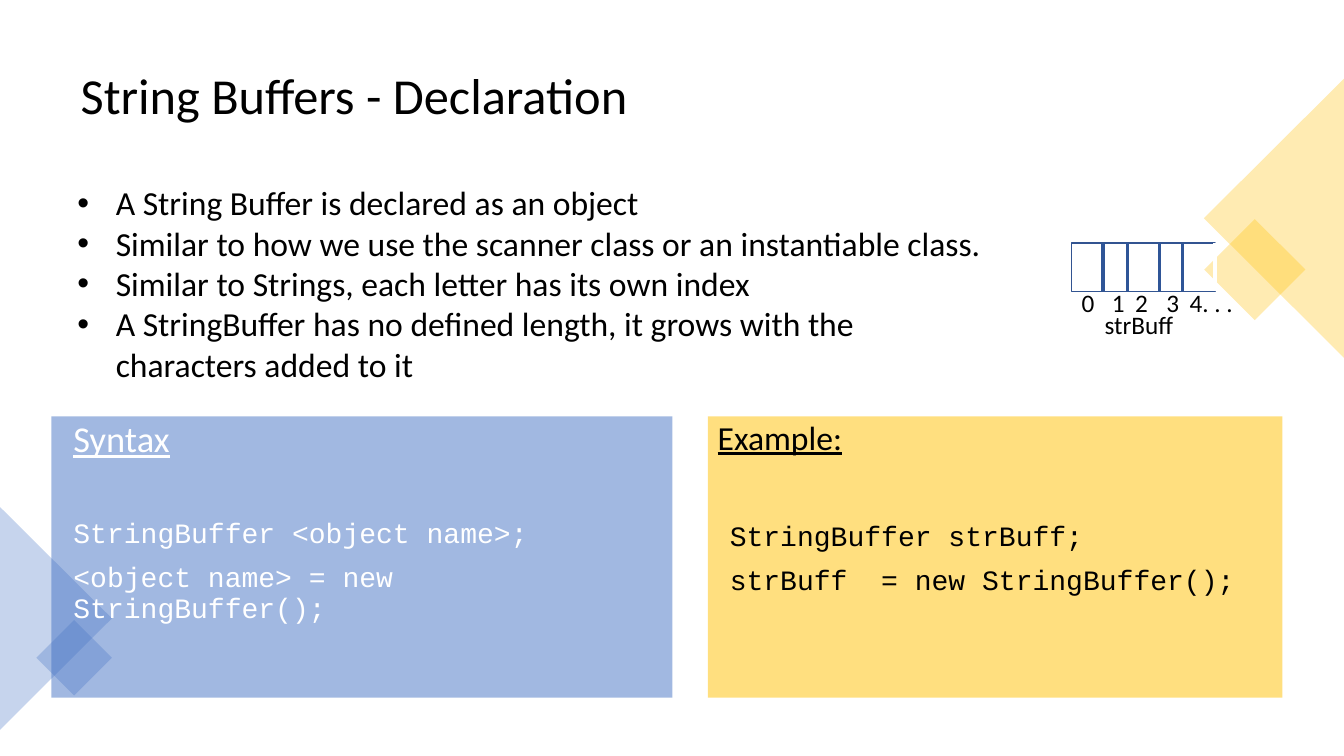
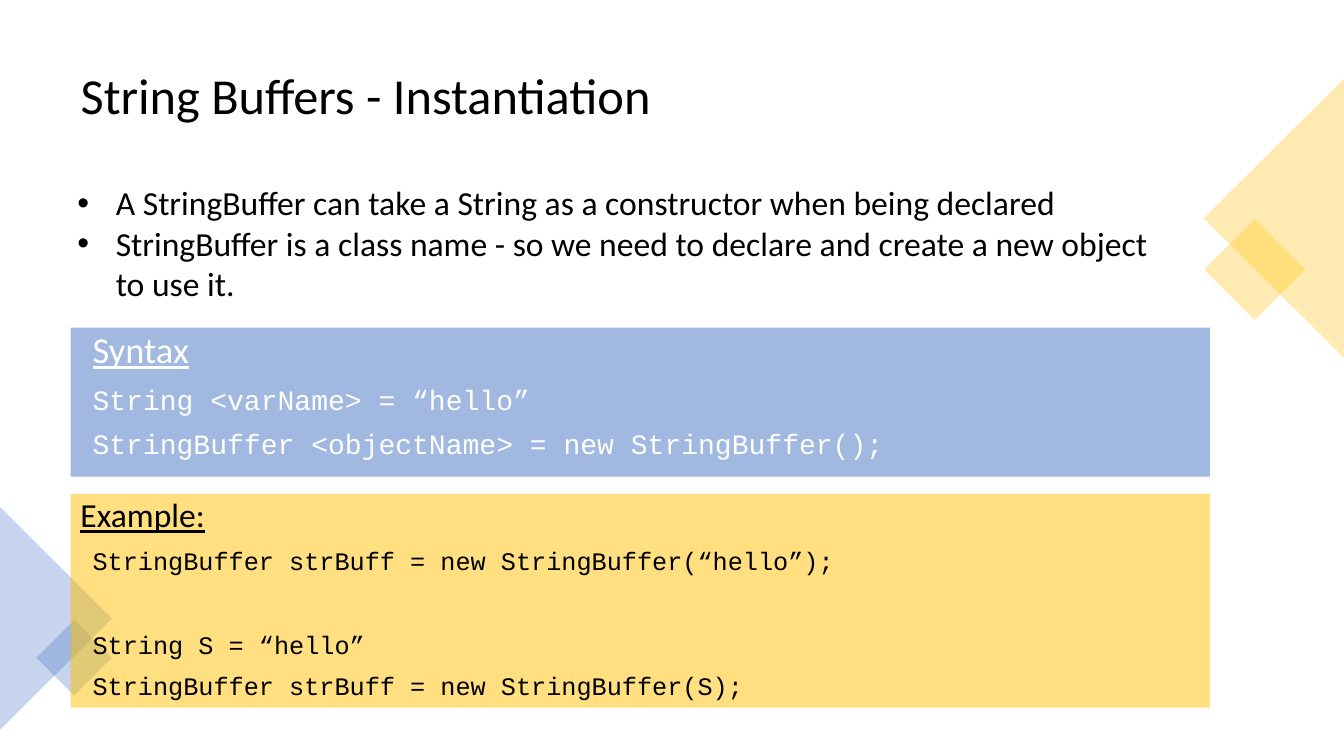
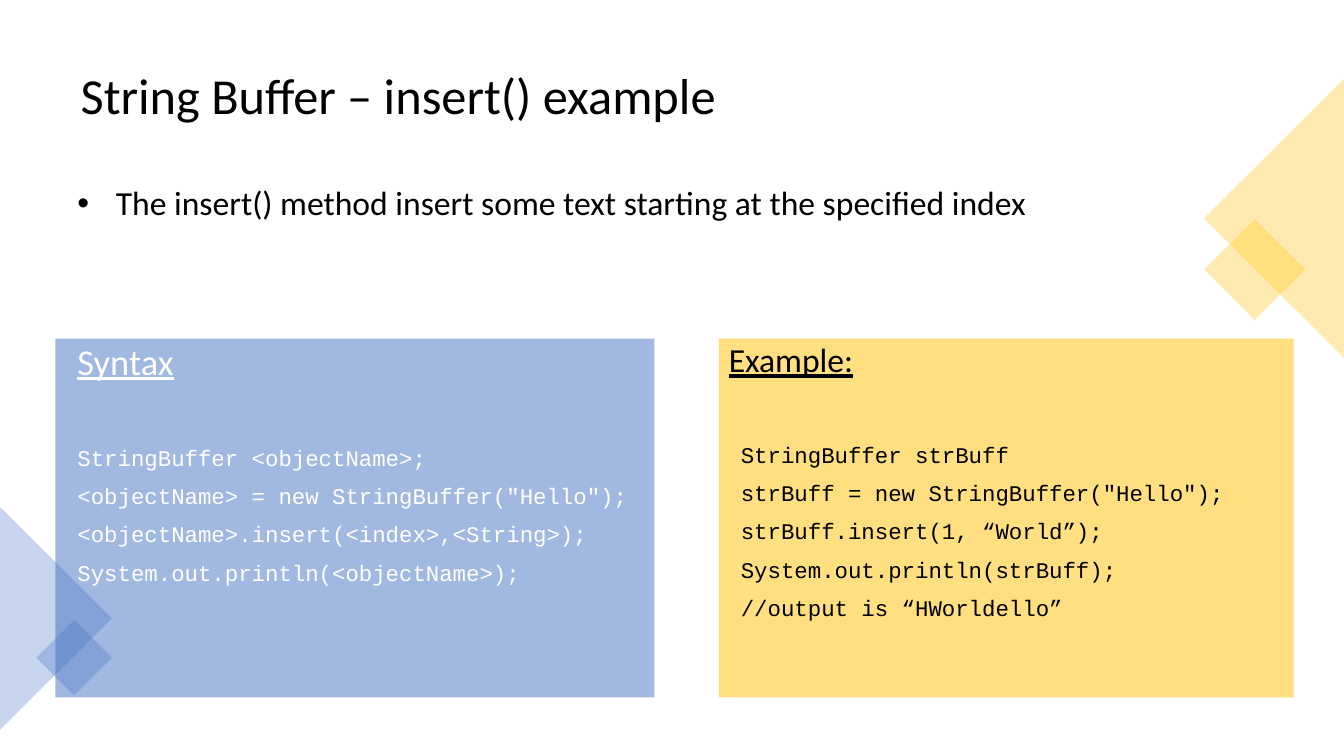
from dataclasses import dataclass

from lxml import etree
from pptx import Presentation
from pptx.dml.color import RGBColor
from pptx.enum import shapes, text
from pptx.oxml import ns
from pptx.util import Inches, Pt

BLACK = RGBColor(0x00, 0x00, 0x00)
WHITE = RGBColor(0xFF, 0xFF, 0xFF)
BLUE = RGBColor(0x44, 0x72, 0xC4)
GOLD = RGBColor(0xFF, 0xC0, 0x00)
OUTLINE = RGBColor(0x32, 0x54, 0x91)
DIVIDER = RGBColor(0x2F, 0x55, 0x97)
BODY_FONT = "Calibri"
CODE_FONT = "Courier New"
CODE_INDENT = 0.12

RECTANGLE = shapes.MSO_SHAPE.RECTANGLE
TRIANGLE = shapes.MSO_SHAPE.ISOSCELES_TRIANGLE

# kind, left, top, width, height, rotation, colour
CORNERS = [
    (RECTANGLE, 12.09, 2.32, 0.71, 0.71, 45, GOLD),
    (TRIANGLE, 11.25, 1.47, 2.77, 1.39, 270, GOLD),
    (TRIANGLE, -0.55, 5.58, 2.21, 1.11, 90, BLUE),
    (RECTANGLE, 0.47, 6.26, 0.53, 0.53, 45, BLUE),
]


@dataclass
class PanelStyle:
    heading: str
    heading_size: int
    heading_indent: float
    fill: RGBColor
    ink: RGBColor


SYNTAX = PanelStyle("Syntax", 26, CODE_INDENT, BLUE, WHITE)
EXAMPLE = PanelStyle("Example:", 24, 0, GOLD, BLACK)


def add_child(parent, tag, **attributes):
    return etree.SubElement(parent, ns.qn(tag), attributes)


class Deck:
    def __init__(self):
        self.deck = Presentation()
        self.deck.slide_width = Inches(13.33)
        self.deck.slide_height = Inches(7.5)
        self.page = None

    def new_page(self, title):
        self.page = self.deck.slides.add_slide(self.deck.slide_layouts[5])
        box = self.page.shapes.title
        box.left, box.top = Inches(0.7), Inches(0.35)
        box.width, box.height = Inches(11.93), Inches(1.24)
        frame = box.text_frame
        frame.auto_size = text.MSO_AUTO_SIZE.NONE
        frame.vertical_anchor = text.MSO_ANCHOR.MIDDLE
        self.add_para(frame, title, 36, spacing=0.9)
        for kind, left, top, width, height, rotation, color in CORNERS:
            corner = self.shape(kind, left, top, width, height, color, 30)
            corner.rotation = rotation

    def add_para(self, frame, words, size, color=BLACK, font=BODY_FONT,
                 indent=0, before=0, spacing=None):
        """Fill the frame's first paragraph, or add one if it is taken."""
        para = frame.paragraphs[0]
        if para.runs:
            para = frame.add_paragraph()
        para.add_run().text = words
        para.alignment = text.PP_ALIGN.LEFT
        para.space_before = Pt(before)
        if spacing:
            para.line_spacing = spacing
        para.font.name = font
        para.font.size = Pt(size)
        para.font.color.rgb = color
        if indent:
            para._p.get_or_add_pPr().set("marL", str(Inches(indent)))
        return para

    def shape(self, kind, left, top, width, height, fill=None, opacity=100):
        """Add a preset shape; opacity is a percentage."""
        shape = self.page.shapes.add_shape(
            kind, Inches(left), Inches(top), Inches(width), Inches(height))
        shape.shadow.inherit = False
        shape.line.fill.background()
        if fill is None:
            shape.fill.background()
        else:
            shape.fill.solid()
            shape.fill.fore_color.rgb = fill
            color = shape._element.spPr.find(".//" + ns.qn("a:srgbClr"))
            add_child(color, "a:alpha", val=str(opacity * 1000))
        return shape

    def text_box(self, left, top, width, height):
        box = self.page.shapes.add_textbox(
            Inches(left), Inches(top), Inches(width), Inches(height))
        box.text_frame.word_wrap = True
        return box.text_frame

    def bullets(self, width, height, lines):
        frame = self.text_box(0.55, 1.76, width, height)
        for line in lines:
            para = self.add_para(frame, line, 24, indent=0.5)
            properties = para._p.get_or_add_pPr()
            properties.set("indent", str(Inches(-0.38)))
            default_font = properties.find(ns.qn("a:defRPr"))
            for tag, name, value in (("a:buFont", "typeface", "Arial"),
                                     ("a:buChar", "char", "•")):
                default_font.addprevious(
                    add_child(properties, tag, **{name: value}))

    def panel(self, style, left, top, width, height, size, lines, gaps=None):
        """Add a code panel; gaps maps a line's index to extra points above it."""
        box = self.shape(RECTANGLE, left, top, width, height, style.fill, 50)
        frame = box.text_frame
        frame.word_wrap = True
        frame.vertical_anchor = text.MSO_ANCHOR.TOP
        heading = self.add_para(frame, style.heading, style.heading_size,
                                style.ink, indent=style.heading_indent,
                                before=10, spacing=0.9)
        heading.font.underline = True
        for index, line in enumerate(lines):
            self.add_para(frame, line, size, style.ink, CODE_FONT, CODE_INDENT,
                          10 + (gaps or {}).get(index, 0), 0.9)

    def line(self, x, top, bottom, color):
        line = self.page.shapes.add_connector(
            shapes.MSO_CONNECTOR.STRAIGHT,
            Inches(x), Inches(top), Inches(x), Inches(bottom))
        line.line.color.rgb = color
        line.line.width = Pt(2.25)
        add_child(line._element.spPr, "a:effectLst")

    def buffer_diagram(self):
        left, top, bottom, right = 10.63, 2.41, 2.89, 12.05
        cells = self.shape(RECTANGLE, left, top, right - left, bottom - top)
        cells.line.color.rgb = OUTLINE
        cells.line.width = Pt(1)
        name = self.add_para(self.text_box(10.47, 3.02, 1.65, 0.4),
                             "strBuff", 18)
        name.alignment = text.PP_ALIGN.CENTER
        for x in (10.94, 11.18, 11.5, 11.73):
            self.line(x, top, bottom, DIVIDER)
        indexes = self.add_para(self.text_box(left, 2.8, 1.81, 0.4),
                                "0\t1\t2\t3\t4. . .", 18)
        properties = indexes._p.get_or_add_pPr()
        tabs = add_child(properties, "a:tabLst")
        properties.find(ns.qn("a:defRPr")).addprevious(tabs)
        for stop in (0.3, 0.53, 0.84, 1.07):
            add_child(tabs, "a:tab", pos=str(Inches(stop)), algn="l")
        self.line(right, top, bottom, WHITE)


def main():
    deck = Deck()

    deck.new_page("String Buffers - Declaration")
    deck.bullets(9.34, 2.12, [
        "A String Buffer is declared as an object",
        "Similar to how we use the scanner class or an instantiable class.",
        "Similar to Strings, each letter has its own index",
        "A StringBuffer has no defined length, it grows with the "
        "characters added to it",
    ])
    deck.panel(SYNTAX, 0.51, 4.13, 6.16, 2.79, 20, [
        "StringBuffer <object name>;",
        "<object name> = new StringBuffer();",
    ], {0: 32})
    deck.panel(EXAMPLE, 7.02, 4.13, 5.7, 2.79, 20, [
        "StringBuffer strBuff;",
        "strBuff  = new StringBuffer();",
    ], {0: 36})
    deck.buffer_diagram()

    deck.new_page("String Buffers - Instantiation")
    deck.bullets(11.25, 1.31, [
        "A StringBuffer can take a String as a constructor when being declared",
        "StringBuffer is a class name - so we need to declare and create "
        "a new object to use it.",
    ])
    deck.panel(SYNTAX, 0.7, 3.25, 11.3, 1.48, 20, [
        "String <varName> = “hello”",
        "StringBuffer <objectName> = new StringBuffer();",
    ])
    deck.panel(EXAMPLE, 0.7, 4.9, 11.3, 2.12, 18, [
        "StringBuffer strBuff = new StringBuffer(“hello”);",
        "String S = “hello”",
        "StringBuffer strBuff = new StringBuffer(S);",
    ], {1: 30})

    deck.new_page("String Buffer – insert() example")
    deck.bullets(11.25, 0.5, [
        "The insert() method insert some text starting at the specified index",
    ])
    deck.panel(SYNTAX, 0.55, 3.36, 5.94, 3.56, 16, [
        "StringBuffer <objectName>;",
        '<objectName> = new StringBuffer("Hello");',
        "<objectName>.insert(<index>,<String>);",
        "System.out.println(<objectName>);",
    ], {0: 36})
    deck.panel(EXAMPLE, 7.13, 3.36, 5.7, 3.56, 16, [
        "StringBuffer strBuff",
        'strBuff = new StringBuffer("Hello");',
        "strBuff.insert(1, “World”);",
        "System.out.println(strBuff);",
        "//output is “HWorldello”",
    ], {0: 36})

    deck.deck.save("out.pptx")


if __name__ == "__main__":
    main()
